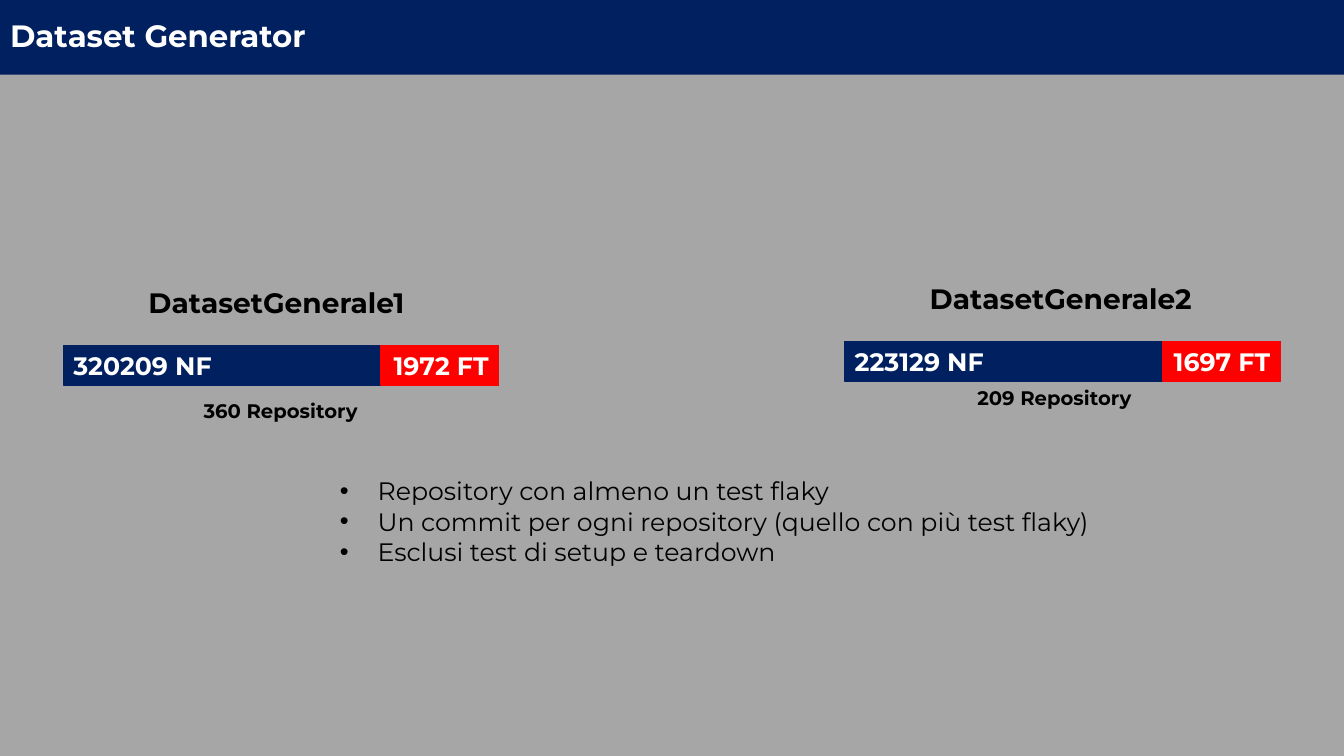
"""Builds the slide comparing the two generated datasets."""
from pptx import Presentation
from pptx.dml.color import RGBColor
from pptx.enum import shapes, text
from pptx.util import Cm, Pt

TITLE = "Dataset Generator"
DATASETS = [
    {"name": "DatasetGenerale2", "stable": "223129 NF", "flaky": "1697 FT",
     "repositories": "209 Repository", "corner": (21.29, 8.61), "caption": (24.38, 9.6)},
    {"name": "DatasetGenerale1", "stable": "320209 NF", "flaky": "1972 FT",
     "repositories": "360 Repository", "corner": (1.6, 8.71), "caption": (4.88, 9.93)},
]
CRITERIA = [
    "Repository con almeno un test flaky",
    "Un commit per ogni repository (quello con più test flaky)",
    "Esclusi test di setup e teardown",
]
COLORS = {"background": "A6A6A6", "navy": "002060", "red": "FF0000",
          "white": "FFFFFF", "black": "000000"}
FONT = "Montserrat"
BAR_WIDTH, BAR_HEIGHT, FLAKY_WIDTH = 10.97, 0.99, 2.97
NAME_SHIFT, NAME_RISE = 1.89, 1.65


def color(name):
    return RGBColor.from_string(COLORS[name])


def paint(fill, name):
    fill.solid()
    fill.fore_color.rgb = color(name)


def style(paragraph, size, ink, bold=True, align=text.PP_ALIGN.LEFT):
    paragraph.alignment = align
    paragraph.font.name = FONT
    paragraph.font.size = Pt(size)
    paragraph.font.bold = bold
    paragraph.font.color.rgb = color(ink)


def place(part, left, top, width, height):
    part.left, part.top, part.width, part.height = map(Cm, (left, top, width, height))


def add_label(group, wording, size, *box):
    label = group.shapes.add_textbox(*map(Cm, box))
    label.text_frame.word_wrap = True
    label.text_frame.text = wording
    style(label.text_frame.paragraphs[0], size, "black")


def add_bar(group, wording, fill, align, *box):
    bar = group.shapes.add_shape(shapes.MSO_SHAPE.RECTANGLE, *map(Cm, box))
    bar.shadow.inherit = False
    paint(bar.fill, fill)
    paint(bar.line.fill, fill)
    bar.line.width = Pt(1)
    bar.text_frame.vertical_anchor = text.MSO_ANCHOR.MIDDLE
    bar.text_frame.text = wording
    style(bar.text_frame.paragraphs[0], 18, "white", align=align)


def add_dataset(slide, dataset):
    left, top = dataset["corner"]
    group = slide.shapes.add_group_shape()
    add_label(group, dataset["name"], 20, left + NAME_SHIFT, top - NAME_RISE, 7.21, 1.2)
    add_bar(group, dataset["stable"], "navy", text.PP_ALIGN.LEFT,
            left, top, BAR_WIDTH, BAR_HEIGHT)
    add_bar(group, dataset["flaky"], "red", text.PP_ALIGN.RIGHT,
            left + BAR_WIDTH - FLAKY_WIDTH, top, FLAKY_WIDTH, BAR_HEIGHT)
    add_label(group, dataset["repositories"], 14, *dataset["caption"], 4.47, 1)


def main():
    deck = Presentation()
    deck.slide_width, deck.slide_height = Cm(33.87), Cm(19.05)
    slide = deck.slides.add_slide(deck.slide_layouts[1])
    paint(slide.background.fill, "background")

    heading = slide.shapes.title
    place(heading, 0, 0, 33.87, 1.88)
    paint(heading.fill, "navy")
    heading.text_frame.text = TITLE
    heading.text_frame.vertical_anchor = text.MSO_ANCHOR.MIDDLE
    heading.text_frame.paragraphs[0].line_spacing = 0.9
    style(heading.text_frame.paragraphs[0], 22, "white")

    for dataset in DATASETS:
        add_dataset(slide, dataset)

    criteria = slide.placeholders[1]
    place(criteria, 8.31, 11.86, 19.76, 3.58)
    criteria.text_frame.auto_size = text.MSO_AUTO_SIZE.NONE
    criteria.text_frame.text = "\n".join(CRITERIA)
    for criterion in criteria.text_frame.paragraphs:
        criterion.space_before = Pt(0)
        style(criterion, 18, "black", bold=False)

    deck.save("out.pptx")


if __name__ == "__main__":
    main()
